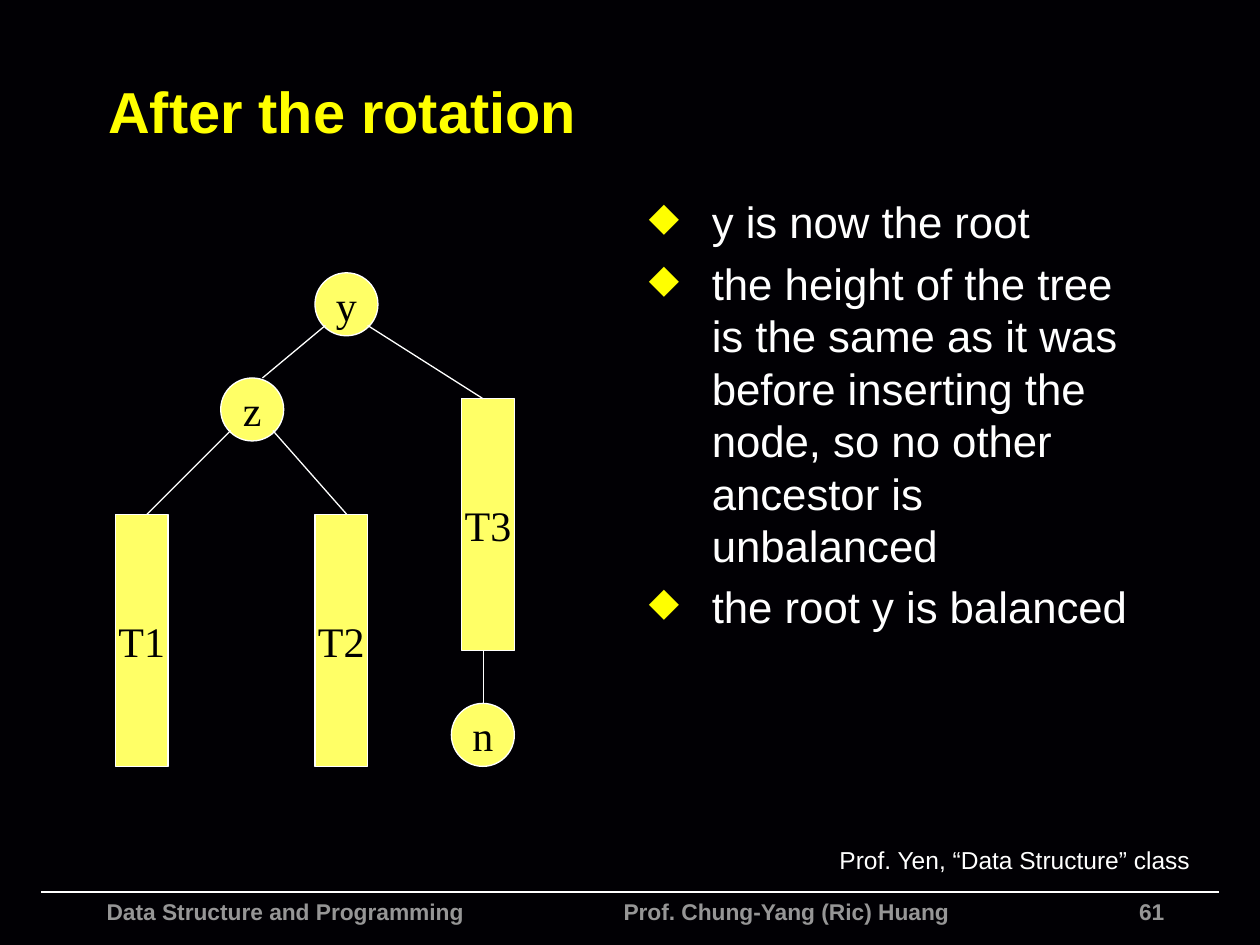
from lxml import etree
from pptx import Presentation
from pptx.dml.color import RGBColor
from pptx.enum.shapes import MSO_CONNECTOR, MSO_SHAPE
from pptx.enum.text import MSO_ANCHOR, PP_ALIGN
from pptx.oxml import parse_xml
from pptx.oxml.ns import nsdecls, qn
from pptx.util import Cm, Pt

COLOURS = {"background": "010004", "title": "FFFF00", "text": "FFFFFF",
           "footer": "969696", "node": "FFFF66", "label": "000000"}


def colour(part):
    return RGBColor.from_string(COLOURS[part])


def write(frame, text, size, part, font="Arial", bold=False,
          align=PP_ALIGN.LEFT, new=False):
    """Add one run, in the first paragraph or in a new one."""
    paragraph = frame.add_paragraph() if new else frame.paragraphs[0]
    paragraph.alignment = align
    run = paragraph.add_run()
    run.text = text
    run.font.size = Pt(size)
    run.font.name = font
    run.font.bold = bold
    run.font.color.rgb = colour(part)
    return paragraph


deck = Presentation()
deck.slide_width, deck.slide_height = Cm(25.4), Cm(19.05)
slide = deck.slides.add_slide(deck.slide_layouts[6])
slide.background.fill.solid()
slide.background.fill.fore_color.rgb = colour("background")
shapes = slide.shapes

# Title
title = shapes.add_textbox(Cm(1.93), Cm(0.94), Cm(22.45), Cm(2.57)).text_frame
title.word_wrap = True
title.vertical_anchor = MSO_ANCHOR.MIDDLE
write(title, "After the rotation", 33, "title", bold=True)

# Bulleted remarks
remarks = shapes.add_textbox(Cm(12.83), Cm(3.81), Cm(10.59), Cm(13.13)).text_frame
remarks.word_wrap = True
for i, remark in enumerate([
        "y is now the root",
        "the height of the tree is the same as it was before inserting "
        "the node, so no other ancestor is unbalanced",
        "the root y is balanced"]):
    paragraph = write(remarks, remark, 25, "text", new=i > 0)
    paragraph.space_before = Pt(5)
    paragraph.line_spacing = Pt(30)
    properties = paragraph._p.get_or_add_pPr()
    properties.set("marL", str(Cm(1.27)))
    properties.set("indent", str(Cm(-1.27)))
    for bullet in (
            f'<a:buClr {nsdecls("a")}><a:srgbClr val="{COLOURS["title"]}"/></a:buClr>',
            f'<a:buSzPct {nsdecls("a")} val="90000"/>',
            f'<a:buChar {nsdecls("a")} char="◆"/>'):
        properties.append(parse_xml(bullet))

# Tree nodes and subtrees
CIRCLE = (MSO_SHAPE.OVAL, 1.27, 1.27)
SUBTREE = (MSO_SHAPE.RECTANGLE, 1.06, 5.08)
for label, (outline, width, height), left, top in [
        ("z", CIRCLE, 4.45, 7.62), ("y", CIRCLE, 6.35, 5.5),
        ("T1", SUBTREE, 2.33, 10.37), ("T2", SUBTREE, 6.35, 10.37),
        ("T3", SUBTREE, 9.31, 8.04), ("n", CIRCLE, 9.1, 14.18)]:
    node = shapes.add_shape(outline, Cm(left), Cm(top), Cm(width), Cm(height))
    node.shadow.inherit = False
    node.fill.solid()
    node.fill.fore_color.rgb = colour("node")
    node.line.color.rgb = colour("text")
    node.line.width = Pt(0.75)
    node.text_frame.word_wrap = False
    node.text_frame.vertical_anchor = MSO_ANCHOR.MIDDLE
    write(node.text_frame, label, 24, "label", "Times New Roman",
          align=PP_ALIGN.CENTER)

# Tree edges and footer rule
for x1, y1, x2, y2, weight in [
        (4.65, 8.68, 2.96, 10.37, 0.75),    # z to T1
        (6.56, 6.56, 5.29, 7.62, 0.75),     # y to z
        (5.5, 8.68, 6.99, 10.37, 0.75),     # z to T2
        (7.41, 6.56, 9.74, 8.04, 0.75),     # y to T3
        (9.74, 13.12, 9.74, 14.18, 0.75),   # T3 to n
        (0.83, 17.98, 24.57, 17.98, 1)]:    # footer rule
    edge = shapes.add_connector(MSO_CONNECTOR.STRAIGHT,
                                Cm(x1), Cm(y1), Cm(x2), Cm(y2))
    edge.line.color.rgb = colour("text")
    edge.line.width = Pt(weight)
    etree.SubElement(edge._element.spPr, qn("a:effectLst"))

# Source credit
credit = shapes.add_textbox(Cm(16.79), Cm(16.92), Cm(7.34), Cm(0.84)).text_frame
credit.word_wrap = False
credit.margin_left = credit.margin_right = Cm(0.13)
write(credit, "Prof. Yen, “Data Structure” class", 14, "text",
      align=PP_ALIGN.CENTER)

# Footer: course and lecturer split by a tab stop, then the slide number
footer = shapes.add_textbox(Cm(1.9), Cm(17.98), Cm(18.39), Cm(1.07)).text_frame
footer.word_wrap = True
course = write(footer, "Data Structure and Programming\tProf. Chung-Yang (Ric) Huang",
               13, "footer", bold=True)
course._p.get_or_add_pPr().append(parse_xml(
    f'<a:tabLst {nsdecls("a")}><a:tab pos="{Cm(10.42)}" algn="l"/></a:tabLst>'))
number = shapes.add_textbox(Cm(15.67), Cm(17.98), Cm(8.05), Cm(0.46)).text_frame
number.word_wrap = True
write(number, "61", 13, "footer", bold=True, align=PP_ALIGN.RIGHT)

deck.save("out.pptx")
